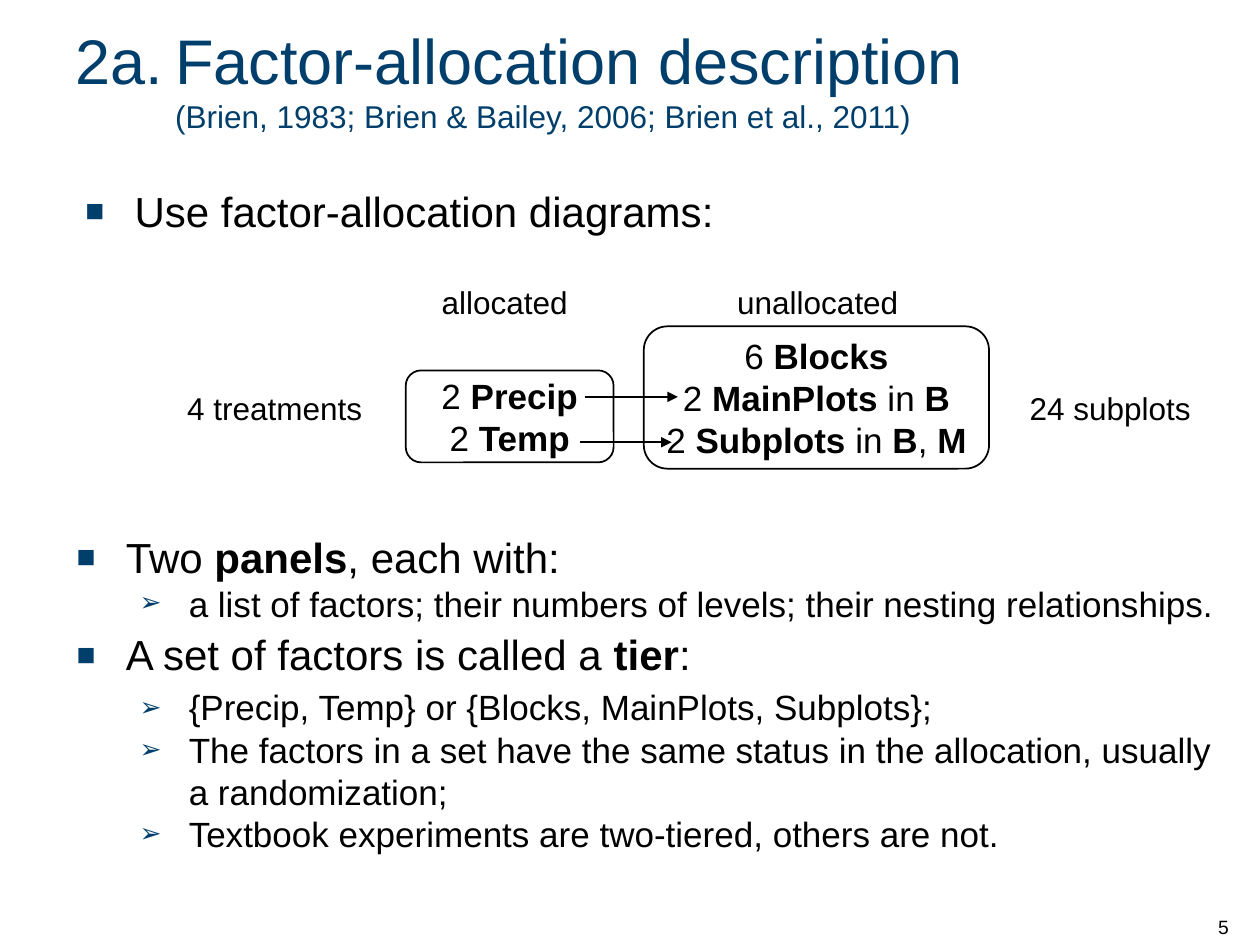
from lxml import etree
from pptx import Presentation
from pptx.dml.color import RGBColor
from pptx.enum.shapes import MSO_CONNECTOR, MSO_SHAPE
from pptx.enum.text import MSO_ANCHOR as Anchor, MSO_AUTO_SIZE as AutoSize, PP_ALIGN as Align
from pptx.oxml.ns import qn
from pptx.util import Inches, Pt

NAVY, BLACK = "003E6C", "000000"
FONT = "Arial"
TITLE_LAYOUT = 5


def color(hex_value):
    return RGBColor.from_string(hex_value)


def format_font(font, size, hex_value=BLACK):
    font.name, font.size = FONT, Pt(size)
    font.color.rgb = color(hex_value)


def write_marked(paragraph, marked, size):
    """Write text whose **marked** parts are bold."""
    for index, part in enumerate(marked.split("**")):
        if part:
            run = paragraph.add_run()
            run.text = part
            run.font.bold = index % 2 == 1
            format_font(run.font, size)


def set_indent(paragraph, left, hanging):
    props = paragraph._p.get_or_add_pPr()
    props.set("marL", str(Inches(left)))
    props.set("indent", str(-Inches(hanging)))
    return props


def add_bullet(paragraph, symbol, left, hanging):
    props = set_indent(paragraph, left, hanging)
    bullet_color = etree.SubElement(props, qn("a:buClr"))
    etree.SubElement(bullet_color, qn("a:srgbClr"), val=NAVY)
    etree.SubElement(props, qn("a:buSzPct"), val="75000")
    etree.SubElement(props, qn("a:buFont"), typeface=FONT)
    etree.SubElement(props, qn("a:buChar"), char=symbol)


def add_textbox(slide, left, top, width, height):
    box = slide.shapes.add_textbox(*map(Inches, (left, top, width, height)))
    box.text_frame.word_wrap = True
    return box.text_frame


def add_label(slide, text, left, top, width):
    frame = add_textbox(slide, left, top, width, 0.4)
    frame.auto_size = AutoSize.SHAPE_TO_FIT_TEXT
    write_marked(frame.paragraphs[0], text, 18)
    frame.paragraphs[0].alignment = Align.CENTER


def add_bullets(slide, items, left, top, width, height):
    """Items are (level, text, line spacing, space before)."""
    frame = add_textbox(slide, left, top, width, height)
    for index, (level, text, spacing, before) in enumerate(items):
        paragraph = frame.add_paragraph() if index else frame.paragraphs[0]
        if level:
            add_bullet(paragraph, "➢", 0.89, 0.39)
        else:
            add_bullet(paragraph, "■", 0.39, 0.39)
        paragraph.level = level
        paragraph.line_spacing = spacing
        paragraph.space_before = Pt(before)
        write_marked(paragraph, text, 20 if level else 24)


def add_panel(slide, factors, left, top, width, height):
    panel = slide.shapes.add_shape(
        MSO_SHAPE.ROUNDED_RECTANGLE, *map(Inches, (left, top, width, height)))
    panel.shadow.inherit = False
    panel.fill.background()
    panel.line.color.rgb = color(BLACK)
    panel.line.width = Pt(1)
    frame = panel.text_frame
    frame.vertical_anchor = Anchor.MIDDLE
    frame.margin_left = frame.margin_right = Inches(0.01)
    frame.margin_top = frame.margin_bottom = Inches(0.02)
    for index, factor in enumerate(factors):
        paragraph = frame.add_paragraph() if index else frame.paragraphs[0]
        paragraph.alignment = Align.CENTER
        write_marked(paragraph, factor, 20)


def add_arrow(slide, start, end, y):
    arrow = slide.shapes.add_connector(
        MSO_CONNECTOR.STRAIGHT, *map(Inches, (start, y, end, y)))
    arrow.line.color.rgb = color(BLACK)
    arrow.line.width = Pt(1)
    etree.SubElement(arrow.line._get_or_add_ln(), qn("a:tailEnd"),
                     type="triangle", w="med", len="med")
    etree.SubElement(arrow._element.spPr, qn("a:effectLst"))


def set_title(slide, heading, citation):
    title = slide.shapes.title
    title.left, title.top, title.width, title.height = map(Inches, (0.5, 0.07, 9, 1.1))
    frame = title.text_frame
    frame.text = f"{heading}\v{citation}"
    frame.auto_size = AutoSize.NONE
    frame.vertical_anchor = Anchor.MIDDLE
    paragraph = frame.paragraphs[0]
    set_indent(paragraph, 0.79, 0.79)
    paragraph.alignment = Align.LEFT
    for run, size in zip(paragraph.runs, (36, 18)):
        format_font(run.font, size, NAVY)


def add_page_number(slide, number):
    frame = add_textbox(slide, 9.57, 7, 0.42, 0.5)
    frame.vertical_anchor = Anchor.BOTTOM
    write_marked(frame.paragraphs[0], number, 11)


def main():
    deck = Presentation()
    deck.slide_width, deck.slide_height = Inches(10), Inches(7.5)
    slide = deck.slides.add_slide(deck.slide_layouts[TITLE_LAYOUT])

    set_title(slide, "2a.\tFactor-allocation description ",
              "(Brien, 1983; Brien & Bailey, 2006; Brien et al., 2011)")
    add_page_number(slide, "5")
    add_bullets(slide, [
        (0, "Two **panels**, each with:", 0.8, 0),
        (1, "a list of factors; their numbers of levels; their nesting relationships.", 1, 0),
        (0, "A set of factors is called a **tier**:", 0.9, 6),
        (1, "{Precip, Temp} or {Blocks, MainPlots, Subplots};", 0.9, 6),
        (1, "The factors in a set have the same status in the allocation, "
            "usually a randomization;", 1, 0),
        (1, "Textbook experiments are two-tiered, others are not.", 1, 0),
    ], 0.51, 4.25, 9.34, 3.15)
    add_bullets(slide, [(0, "Use factor-allocation diagrams:", 0.8, 0)], 0.58, 1.5, 9, 0.46)

    add_label(slide, "allocated", 3.18, 2.2, 1.65)
    add_label(slide, "unallocated", 5.53, 2.2, 1.92)
    add_label(slide, "4 treatments", 1.37, 3.04, 1.62)
    add_label(slide, "24 subplots", 8, 3.04, 1.62)
    add_panel(slide, ["2 **Precip**", "2 **Temp**"], 3.22, 2.94, 1.65, 0.73)
    add_panel(slide, ["6 **Blocks**", "2 **MainPlots** in **B**",
                      "2 **Subplots **in **B**, **M**"], 5.11, 2.59, 2.74, 1.13)
    add_arrow(slide, 4.6, 5.33, 3.51)
    add_arrow(slide, 4.64, 5.38, 3.15)

    deck.save("out.pptx")


if __name__ == "__main__":
    main()
